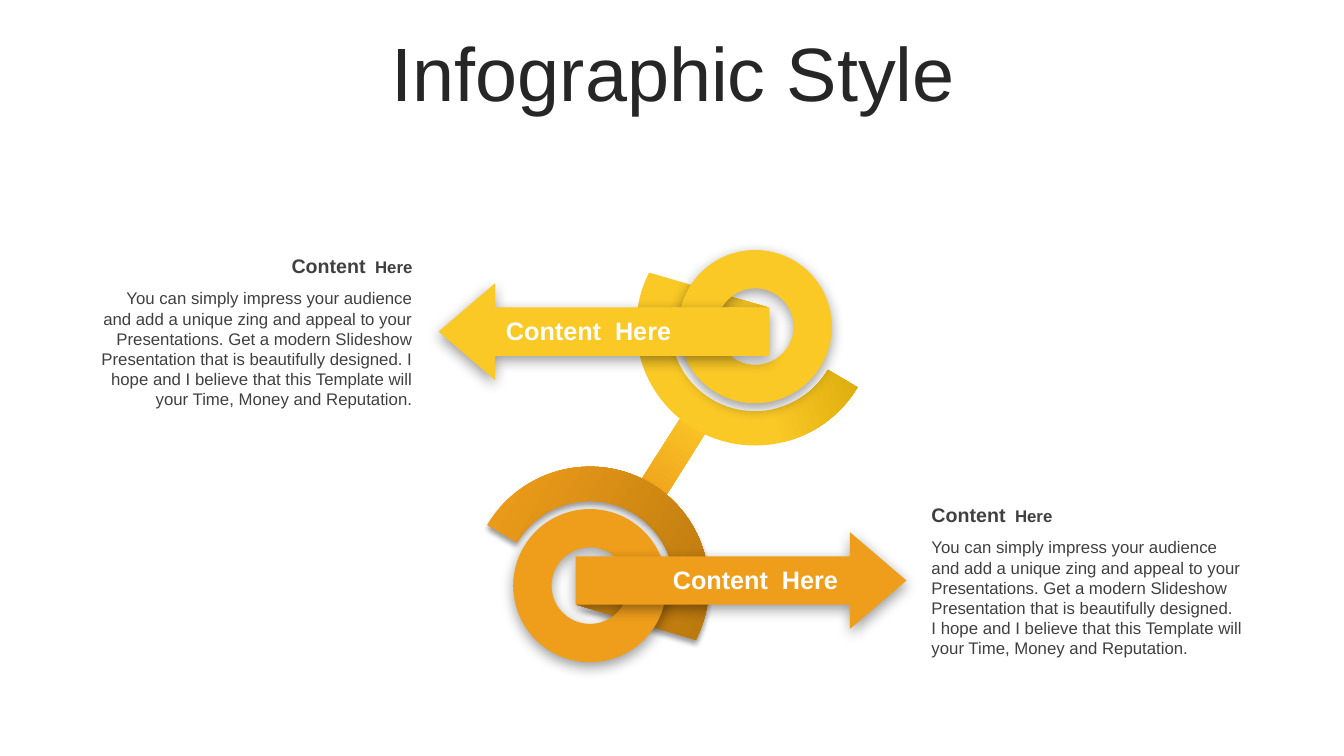
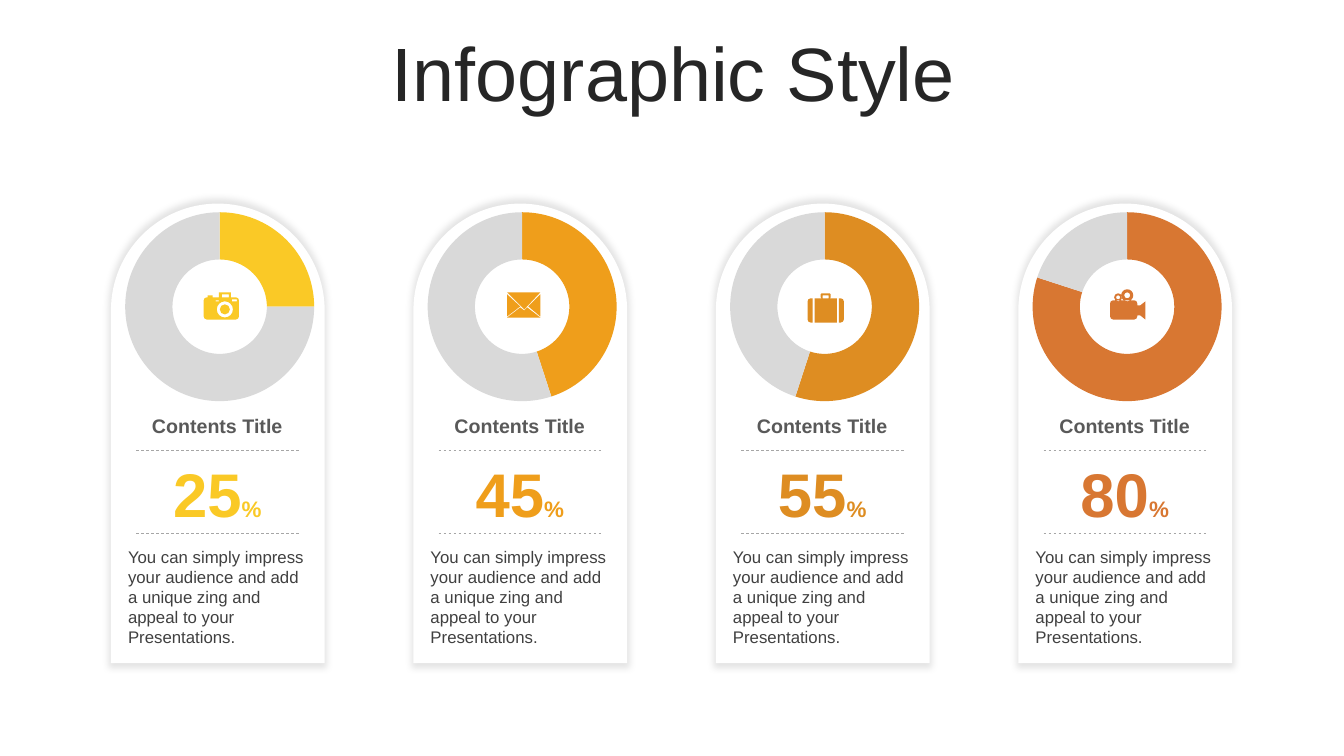
from dataclasses import dataclass
from math import ceil, cos, floor, radians, sin, tan

from lxml.etree import SubElement
from pptx import Presentation
from pptx.chart.data import CategoryChartData
from pptx.dml.color import RGBColor
from pptx.enum.chart import XL_CHART_TYPE
from pptx.enum.dml import MSO_LINE
from pptx.enum.shapes import MSO_CONNECTOR, MSO_SHAPE
from pptx.enum.text import MSO_ANCHOR, MSO_AUTO_SIZE, PP_ALIGN
from pptx.oxml.ns import qn
from pptx.util import Inches, Pt

FONT = "Arial"
WHITE = RGBColor(0xFF, 0xFF, 0xFF)
BLACK = RGBColor(0x00, 0x00, 0x00)
TITLE_GRAY = RGBColor(0x26, 0x26, 0x26)
BODY_GRAY = RGBColor(0x40, 0x40, 0x40)
CAPTION_GRAY = RGBColor(0x59, 0x59, 0x59)
RULE_GRAY = RGBColor(0xA6, 0xA6, 0xA6)
REST_GRAY = RGBColor(0xD9, 0xD9, 0xD9)
YELLOW = RGBColor(0xFA, 0xC9, 0x26)
DARK_YELLOW = RGBColor(0xD3, 0xA3, 0x05)
ORANGE = RGBColor(0xEF, 0x9E, 0x1B)
DARK_ORANGE = RGBColor(0xBA, 0x78, 0x0D)
AMBER = RGBColor(0xDE, 0x8D, 0x22)
RUST = RGBColor(0xD8, 0x77, 0x32)

PITCH = "You can simply impress your audience and add a unique zing and appeal to your Presentations."
LONG_PITCH = (
    PITCH + " Get a modern Slideshow Presentation that is beautifully designed. "
    "I hope and I believe that this Template will your Time, Money and Reputation."
)

Step = tuple[tuple[float, float], ...]
Contour = list[Step]


@dataclass(frozen=True)
class Shadow:
    opacity: int
    blur: float
    distance: float
    angle: int = 90
    scale: int = 100


@dataclass(frozen=True)
class Gradient:
    start: RGBColor
    end: RGBColor
    angle: float
    start_position: float = 0


@dataclass(frozen=True)
class Hook:
    x: float
    y: float
    direction: int
    color: RGBColor
    gradient: Gradient
    arc_shadow: Shadow | None
    text_left: float
    text_top: float
    text_width: float
    align: PP_ALIGN
    label_align: PP_ALIGN


@dataclass(frozen=True)
class Card:
    percent: int
    color: RGBColor
    icon: list[Contour]


def polygon(*points: tuple[float, float]) -> Contour:
    return [(point,) for point in points]


def arc(x: float, y: float, radius: float, start: float, end: float) -> Contour:
    low, high = sorted((start, end))
    quarters = [90 * turn for turn in range(floor(low / 90) + 1, ceil(high / 90))]
    angles = [radians(angle) for angle in sorted([low, *quarters, high], reverse=start > end)]

    def at(angle: float, pull: float = 0) -> tuple[float, float]:
        return (x + radius * (cos(angle) - pull * sin(angle)),
                y + radius * (sin(angle) + pull * cos(angle)))

    steps: Contour = [(at(angles[0]),)]
    for first, last in zip(angles, angles[1:]):
        pull = 4 / 3 * tan((last - first) / 4)
        steps.append((at(first, pull), at(last, -pull), at(last)))
    return steps


def circle(x: float, y: float, radius: float) -> Contour:
    return arc(x, y, radius, 0, 360)


def box(left: float, top: float, right: float, bottom: float) -> Contour:
    return polygon((left, top), (right, top), (right, bottom), (left, bottom))


def rounded(left: float, top: float, right: float, bottom: float, radius: float = 0.03) -> Contour:
    return (arc(left + radius, top + radius, radius, 180, 270)
            + arc(right - radius, top + radius, radius, 270, 360)
            + arc(right - radius, bottom - radius, radius, 0, 90)
            + arc(left + radius, bottom - radius, radius, 90, 180))


CAMERA = [
    rounded(0.92, 2.95, 1.27, 3.17),
    circle(1.13, 3.07, 0.08),
    circle(1.13, 3.07, 0.05),
    box(1.04, 2.98, 1.07, 2.99),
    box(1.2, 2.97, 1.25, 2.99),
    box(0.96, 2.93, 1.01, 2.95),
    box(1.07, 2.9, 1.19, 2.95),
    box(1.1, 2.92, 1.17, 2.95),
]
ENVELOPE = [
    polygon((1.13, 3.05), (1.26, 3.15), (0.93, 3.15), (1.06, 3.05), (1.1, 3.08)),
    polygon((1.26, 2.92), (1.26, 3.14), (1.14, 3.04)),
    polygon((0.93, 2.92), (1.06, 3.04), (0.93, 3.14)),
    polygon((0.93, 2.9), (1.26, 2.9), (1.1, 3.07)),
]
SUITCASE = [
    arc(1.24, 2.99, 0.03, 270, 360) + arc(1.24, 3.17, 0.03, 0, 90) + polygon((1.22, 3.2), (1.22, 2.96)),
    arc(0.94, 3.17, 0.03, 90, 180) + arc(0.94, 2.99, 0.03, 180, 270) + polygon((0.96, 2.96), (0.96, 3.2)),
    box(0.98, 2.96, 1.2, 3.2),
    rounded(1.04, 2.91, 1.14, 2.96, 0.01),
    box(1.06, 2.93, 1.12, 2.96),
]
VIDEO_CAMERA = [
    rounded(0.91, 2.98, 1.18, 3.17),
    polygon((1.18, 3.03), (1.21, 3.03), (1.26, 2.99), (1.26, 3.17), (1.21, 3.13), (1.18, 3.13)),
    circle(1.08, 2.93, 0.06),
    circle(1.08, 2.93, 0.03),
    circle(0.99, 2.95, 0.04),
    circle(0.99, 2.95, 0.02),
]

CARDS = [
    Card(25, YELLOW, CAMERA),
    Card(45, ORANGE, ENVELOPE),
    Card(55, AMBER, SUITCASE),
    Card(80, RUST, VIDEO_CAMERA),
]
CARD_LEFT, CARD_PITCH, CARD_RADIUS = 1.1, 3, 1.06
CARD_SHADOW = Shadow(11, 5, 0, 0, 102)
HOOK_SHADOW = Shadow(40, 10, 3)
HOOKS = [
    Hook(5.85, 5.81, 1, ORANGE, Gradient(ORANGE, DARK_ORANGE, 330), Shadow(40, 4, 3),
         9.14, 4.94, 3.28, PP_ALIGN.LEFT, PP_ALIGN.RIGHT),
    Hook(7.49, 3.24, -1, YELLOW, Gradient(YELLOW, DARK_YELLOW, 20, 0.5), None,
         0.86, 2.47, 3.33, PP_ALIGN.RIGHT, PP_ALIGN.LEFT),
]


def style_shape(shape, fill: RGBColor | Gradient, shadow: Shadow | None = None) -> None:
    if isinstance(fill, Gradient):
        shape.fill.gradient()
        shape.fill.gradient_angle = fill.angle
        first, last = shape.fill.gradient_stops
        first.color.rgb, first.position = fill.start, fill.start_position
        last.color.rgb, last.position = fill.end, 1
    else:
        shape.fill.solid()
        shape.fill.fore_color.rgb = fill
    shape.line.fill.background()
    shape.shadow.inherit = False
    if shadow:
        effects = shape.element.spPr.find(qn("a:effectLst"))
        scale = str(shadow.scale * 1000)
        outer = SubElement(effects, qn("a:outerShdw"), blurRad=str(Pt(shadow.blur)),
                           dist=str(Pt(shadow.distance)), dir=str(shadow.angle * 60000),
                           sx=scale, sy=scale, algn="ctr", rotWithShape="0")
        color = SubElement(outer, qn("a:srgbClr"), val=str(BLACK))
        SubElement(color, qn("a:alpha"), val=str(shadow.opacity * 1000))


def add_preset(slide, kind: MSO_SHAPE, left: float, top: float, width: float, height: float,
               fill: RGBColor | Gradient, shadow: Shadow | None = None, rotation: float = 0):
    shape = slide.shapes.add_shape(kind, Inches(left), Inches(top), Inches(width), Inches(height))
    shape.rotation = rotation
    style_shape(shape, fill, shadow)
    return shape


def add_outline(slide, contours: list[Contour], fill: RGBColor | Gradient,
                shadow: Shadow | None = None, offset: float = 0) -> None:
    builder = None
    for contour in contours:
        start, *points = [(Inches(x + offset), Inches(y)) for step in contour for x, y in step]
        if builder is None:
            builder = slide.shapes.build_freeform(*start)
        else:
            builder.move_to(*start)
        builder.add_line_segments(points, close=True)
    shape = builder.convert_to_shape()
    segments = iter(list(shape.element.iter(qn("a:lnTo"))))
    for step in (step for contour in contours for step in contour[1:]):
        segment = next(segments)
        if len(step) == 3:
            segment.tag = qn("a:cubicBezTo")
            for follower in (next(segments), next(segments)):
                segment.append(follower[0])
                follower.getparent().remove(follower)
    style_shape(shape, fill, shadow)


def add_text(slide, left: float, top: float, width: float, height: float,
             runs: list[tuple[str, float]], color: RGBColor, align: PP_ALIGN = PP_ALIGN.LEFT,
             bold: bool = True, anchor: MSO_ANCHOR = MSO_ANCHOR.TOP, inset: float = 0.1) -> None:
    shape = slide.shapes.add_textbox(Inches(left), Inches(top), Inches(width), Inches(height))
    frame = shape.text_frame
    frame.word_wrap = True
    frame.vertical_anchor = anchor
    frame.margin_left = frame.margin_right = Inches(inset)
    paragraph = frame.paragraphs[0]
    paragraph.alignment = align
    paragraph.font.name = FONT
    paragraph.font.bold = bold
    paragraph.font.color.rgb = color
    for text, size in runs:
        run = paragraph.add_run()
        run.text = text
        run.font.size = Pt(size)


def add_titled_slide(presentation, title: str):
    slide = presentation.slides.add_slide(presentation.slide_layouts[5])
    shape = slide.shapes.title
    shape.left, shape.top, shape.width, shape.height = map(Inches, (0.35, 0.37, 12.66, 0.79))
    frame = shape.text_frame
    frame.text = title
    frame.word_wrap = True
    frame.auto_size = MSO_AUTO_SIZE.NONE
    frame.vertical_anchor = MSO_ANCHOR.MIDDLE
    paragraph = frame.paragraphs[0]
    paragraph.alignment = PP_ALIGN.CENTER
    paragraph.line_spacing = 0.9
    paragraph.font.name = FONT
    paragraph.font.size = Pt(54)
    paragraph.font.color.rgb = TITLE_GRAY
    return slide


def add_hook(slide, hook: Hook) -> None:
    x, y, side = hook.x, hook.y, hook.direction
    band = (arc(0, 0, 1.18, 30.7, 207) + polygon((0.13, -0.19), (-0.82, -0.19))
            + arc(0, 0, 0.84, 187.5, 30.7))
    outline = [tuple((x - side * dx, y - side * dy) for dx, dy in step) for step in band]
    add_outline(slide, [outline], hook.gradient, hook.arc_shadow)
    rotation = 0 if side > 0 else 180
    ring = add_preset(slide, MSO_SHAPE.DONUT, x - 0.76, y - 0.76, 1.52, 1.52,
                      hook.color, HOOK_SHADOW, rotation)
    ring.adjustments[0] = 0.25
    arrow_x, arrow_y = x + side * 1.5, y - side * 0.05
    arrow = add_preset(slide, MSO_SHAPE.RIGHT_ARROW, arrow_x - 1.64, arrow_y - 0.48, 3.28, 0.96,
                       hook.color, HOOK_SHADOW, rotation)
    arrow.adjustments[0], arrow.adjustments[1] = 0.5, 0.583
    add_text(slide, arrow_x - side * 0.13 - 1.2, arrow_y - 0.21, 2.39, 0.4,
             [("Content  Here", 18)], WHITE, hook.label_align, anchor=MSO_ANCHOR.MIDDLE)
    add_text(slide, hook.text_left, hook.text_top, hook.text_width, 0.34,
             [("Content", 14), ("  Here", 12)], BODY_GRAY, hook.align)
    add_text(slide, hook.text_left, hook.text_top + 0.34, hook.text_width, 1.31,
             [(LONG_PITCH, 12)], BODY_GRAY, hook.align, bold=False)


def add_rule(slide, left: float, top: float, width: float) -> None:
    rule = slide.shapes.add_connector(MSO_CONNECTOR.STRAIGHT, Inches(left), Inches(top),
                                      Inches(left + width), Inches(top))
    rule.line.color.rgb = RULE_GRAY
    rule.line.width = Pt(0.5)
    rule.line.dash_style = MSO_LINE.DASH
    SubElement(rule.element.spPr, qn("a:effectLst"))


def add_doughnut(slide, left: float, percent: int, color: RGBColor) -> None:
    data = CategoryChartData()
    data.categories = ["1", "2"]
    data.add_series("Series 1", (percent, 100 - percent))
    chart = slide.shapes.add_chart(XL_CHART_TYPE.DOUGHNUT, Inches(left), Inches(2.05),
                                   Inches(2.01), Inches(1.99), data).chart
    chart.has_legend = chart.has_title = False
    chart.font.name = FONT
    chart.font.size = Pt(18)
    chart.font.color.rgb = BLACK
    for index, fill in enumerate((color, REST_GRAY)):
        point = chart.plots[0].series[0].points[index]
        point.format.fill.solid()
        point.format.fill.fore_color.rgb = fill
        point.format.line.fill.background()
    plot_area = chart.element.find(".//" + qn("c:plotArea"))
    plot_area.find(".//" + qn("c:holeSize")).set("val", "55")
    for old_layout in plot_area.findall(qn("c:layout")):
        plot_area.remove(old_layout)
    layout = SubElement(plot_area, qn("c:layout"))
    plot_area.insert(0, layout)
    manual = SubElement(layout, qn("c:manualLayout"))
    settings = {"layoutTarget": "inner", "xMode": "edge", "yMode": "edge",
                "x": "0.038", "y": "0.028", "w": "0.976", "h": "0.942"}
    for name, value in settings.items():
        SubElement(manual, qn("c:" + name), val=value)


def add_card(slide, left: float, card: Card) -> None:
    diameter = 2 * CARD_RADIUS
    outline = arc(CARD_RADIUS, 3.08, CARD_RADIUS, 180, 360) + polygon((diameter, 6.58), (0, 6.58))
    add_outline(slide, [outline], WHITE, CARD_SHADOW, left)
    add_text(slide, left + 0.19, 4.06, 1.73, 0.34, [("Contents Title", 14)],
             CAPTION_GRAY, PP_ALIGN.CENTER)
    add_text(slide, left + 0.19, 4.47, 1.73, 0.84, [(str(card.percent), 44), ("%", 16)],
             card.color, PP_ALIGN.CENTER)
    for top in (4.47, 5.29):
        add_rule(slide, left + 0.25, top, 1.62)
    add_text(slide, left + 0.05, 5.37, 2.03, 1.11, [(PITCH, 12)], BODY_GRAY, bold=False, inset=0.12)
    add_doughnut(slide, left + 0.05, card.percent, card.color)
    add_outline(slide, card.icon, card.color, offset=left)


def main() -> None:
    presentation = Presentation()
    presentation.slide_width, presentation.slide_height = Inches(13.33), Inches(7.5)

    hook_slide = add_titled_slide(presentation, "Infographic Style")
    add_preset(hook_slide, MSO_SHAPE.FLOWCHART_PROCESS, 6.52, 4.12, 0.29, 0.86,
               Gradient(YELLOW, ORANGE, 270), rotation=32.3)
    for hook in HOOKS:
        add_hook(hook_slide, hook)

    card_slide = add_titled_slide(presentation, "Infographic Style")
    for index, card in enumerate(CARDS):
        add_card(card_slide, CARD_LEFT + index * CARD_PITCH, card)

    presentation.save("out.pptx")


if __name__ == "__main__":
    main()
